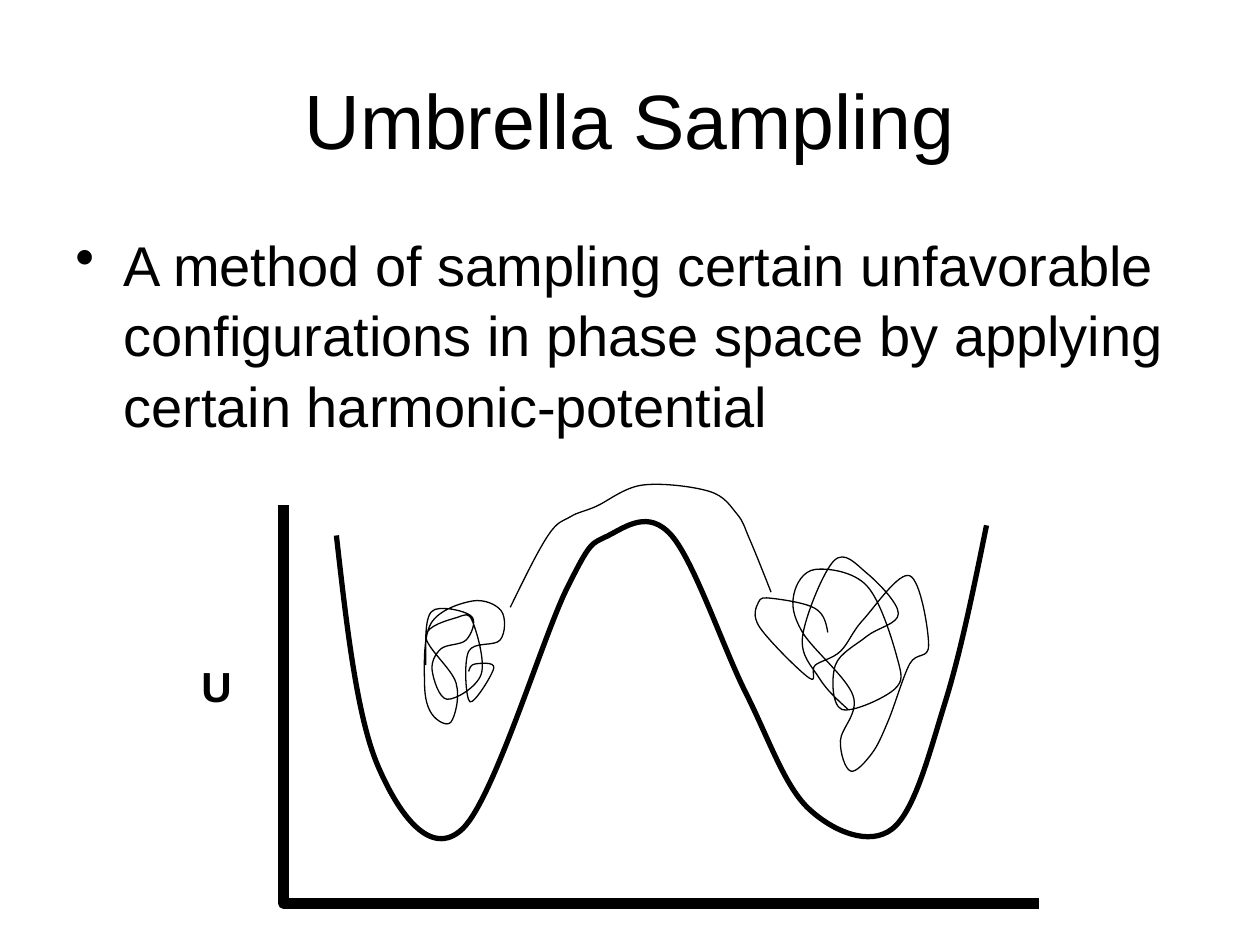
from dataclasses import dataclass

from lxml import etree
from pptx import Presentation
from pptx.dml.color import RGBColor
from pptx.enum.shapes import MSO_SHAPE
from pptx.enum.text import MSO_ANCHOR, PP_ALIGN
from pptx.oxml.ns import qn
from pptx.util import Inches, Pt

RECT = MSO_SHAPE.RECTANGLE
TOP, MIDDLE = MSO_ANCHOR.TOP, MSO_ANCHOR.MIDDLE
LEFT, CENTER = PP_ALIGN.LEFT, PP_ALIGN.CENTER


@dataclass(frozen=True)
class Theme:
    font: str = "Arial"
    ink: RGBColor = RGBColor(0, 0, 0)
    paper: RGBColor = RGBColor(255, 255, 255)
    title: int = 44
    body: int = 32
    label: int = 24
    leading: float = 1.05
    axis: float = 6
    well: float = 3
    thin: float = 0.75


THEME = Theme()

WELL = [(2.67, 4.25), (3, 6.08), (3.67, 6.58), (4.5, 4.67), (4.83, 4.25), (5.33, 4.25),
        (5.92, 5.5), (6.42, 6.42), (7.08, 6.58), (7.5, 5.58), (7.83, 4.17)]
LEFT_WALK = [(3.38, 5.28), (3.4, 4.9), (3.53, 4.83), (3.75, 4.9), (3.7, 5.08), (3.5, 5.15),
             (3.43, 5.32), (3.55, 5.55), (3.82, 5.35), (3.75, 4.93), (3.63, 4.9),
             (3.38, 5.05), (3.62, 5.42), (3.58, 5.73), (3.43, 5.67), (3.37, 5.43),
             (3.42, 4.95), (3.75, 4.77), (3.98, 4.85), (3.97, 5.08), (3.72, 5.17),
             (3.73, 5.57), (3.92, 5.3), (3.77, 5.27), (3.72, 5.33)]
RIGHT_WALK = [(6.73, 5.63), (6.5, 5.38), (6.37, 5.05), (6.62, 4.45), (6.88, 4.55),
              (7.13, 4.87), (6.88, 5.05), (6.63, 5.28), (6.68, 5.63), (7.1, 5.47),
              (7.12, 5.22), (6.88, 4.65), (6.47, 4.52), (6.3, 4.72), (6.37, 5.02),
              (6.77, 5.52), (6.67, 5.88), (6.75, 6.12), (6.92, 5.98), (7.05, 5.72),
              (7.22, 5.27), (7.37, 5.12), (7.22, 4.57), (6.85, 4.92), (6.67, 5.17),
              (6.47, 5.28), (6.42, 5.38), (6.03, 4.98), (6.02, 4.78), (6.13, 4.75),
              (6.47, 4.83), (6.57, 5.02)]
CROSSING = [(4.05, 4.82), (4.35, 4.25), (4.53, 4.1), (4.73, 4.02), (5.1, 3.85),
            (5.63, 3.9), (5.85, 4.08), (5.95, 4.28), (6.12, 4.7)]

prs = Presentation()
prs.slide_width, prs.slide_height = Inches(10), Inches(7.5)
s = prs.slides.add_slide(prs.slide_layouts[6])
s.background.fill.solid()
s.background.fill.fore_color.rgb = THEME.paper


def add_text(text, box, size, bold=False, align=LEFT, anchor=TOP, bullet=None):
    tf = s.shapes.add_textbox(*map(Inches, box)).text_frame
    tf.word_wrap = True
    tf.vertical_anchor = anchor
    p = tf.paragraphs[0]
    p.alignment = align
    p.line_spacing = THEME.leading
    if bullet:
        pPr = p._p.get_or_add_pPr()
        pPr.set("marL", str(Inches(0.38)))
        pPr.set("indent", str(-Inches(0.38)))
        etree.SubElement(pPr, qn("a:buChar")).set("char", bullet)
    r = p.add_run()
    r.text = text
    r.font.name, r.font.size, r.font.bold = THEME.font, Pt(size), bold
    r.font.color.rgb = THEME.ink


def add_curve(knots, width):
    points = [complex(Inches(x), Inches(y)) for x, y in knots]
    slopes = [(c - a) / 6 for a, c in zip(points, points[2:])]
    starts = [p + d for p, d in zip(points[1:], slopes)]
    ends = [p - d for p, d in zip(points[1:], slopes)]
    starts.insert(0, (points[0] + ends[0]) / 2)
    ends.append((starts[-1] + points[-1]) / 2)
    nodes = [z for trio in zip(starts, ends, points[1:]) for z in trio]
    builder = s.shapes.build_freeform(int(points[0].real), int(points[0].imag))
    builder.add_line_segments([(int(z.real), int(z.imag)) for z in nodes], close=False)
    sp = builder.convert_to_shape()
    sp.shadow.inherit = False
    sp.fill.background()
    sp.line.color.rgb, sp.line.width = THEME.ink, Pt(width)
    outline = sp._element.find(".//" + qn("a:path"))
    segments = outline.findall(qn("a:lnTo"))
    for i in range(0, len(segments), 3):
        bezier = etree.SubElement(outline, qn("a:cubicBezTo"))
        for segment in segments[i:i + 3]:
            bezier.append(segment[0])
            outline.remove(segment)


add_text("Umbrella Sampling", (0.5, 0.3, 9, 1.25), THEME.title,
         align=CENTER, anchor=MIDDLE)
add_text("A method of sampling certain unfavorable configurations in phase space "
         "by applying certain harmonic-potential",
         (0.5, 1.75, 9, 4.95), THEME.body, bullet="•")

for box, fill, line, width in [
    ((2.25, 3.92, 6.08, 3.25), None, THEME.ink, THEME.axis),
    ((2, 3.67, 6.67, 0.33), THEME.paper, THEME.paper, THEME.thin),
    ((8.25, 3.83, 0.58, 3.42), THEME.paper, THEME.paper, THEME.thin),
]:
    sp = s.shapes.add_shape(RECT, *map(Inches, box))
    sp.shadow.inherit = False
    if fill is None:
        sp.fill.background()
    else:
        sp.fill.solid()
        sp.fill.fore_color.rgb = fill
    sp.line.color.rgb, sp.line.width = line, Pt(width)

add_curve(WELL, THEME.well)
add_text("U", (1.5, 5.17, 0.92, 0.5), THEME.label, bold=True)
for trajectory in (LEFT_WALK, RIGHT_WALK, CROSSING):
    add_curve(trajectory, THEME.thin)

prs.save("out.pptx")
